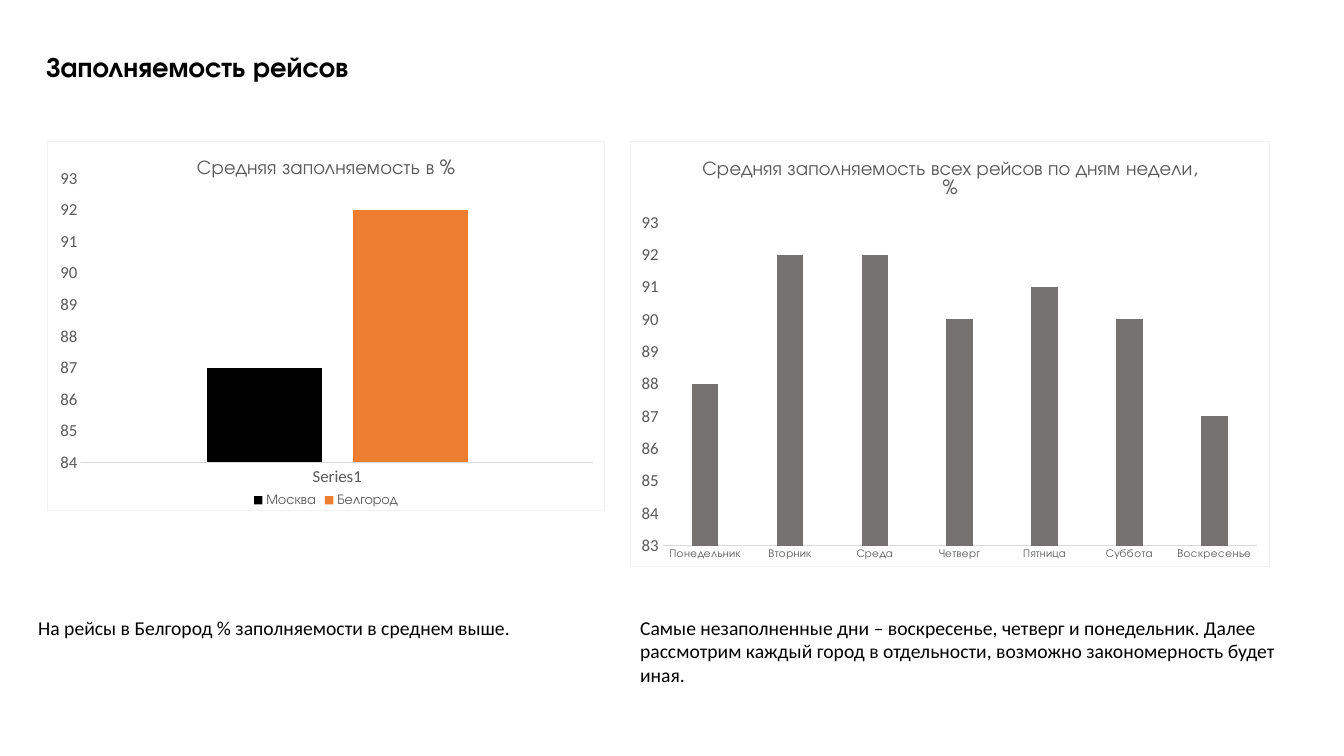
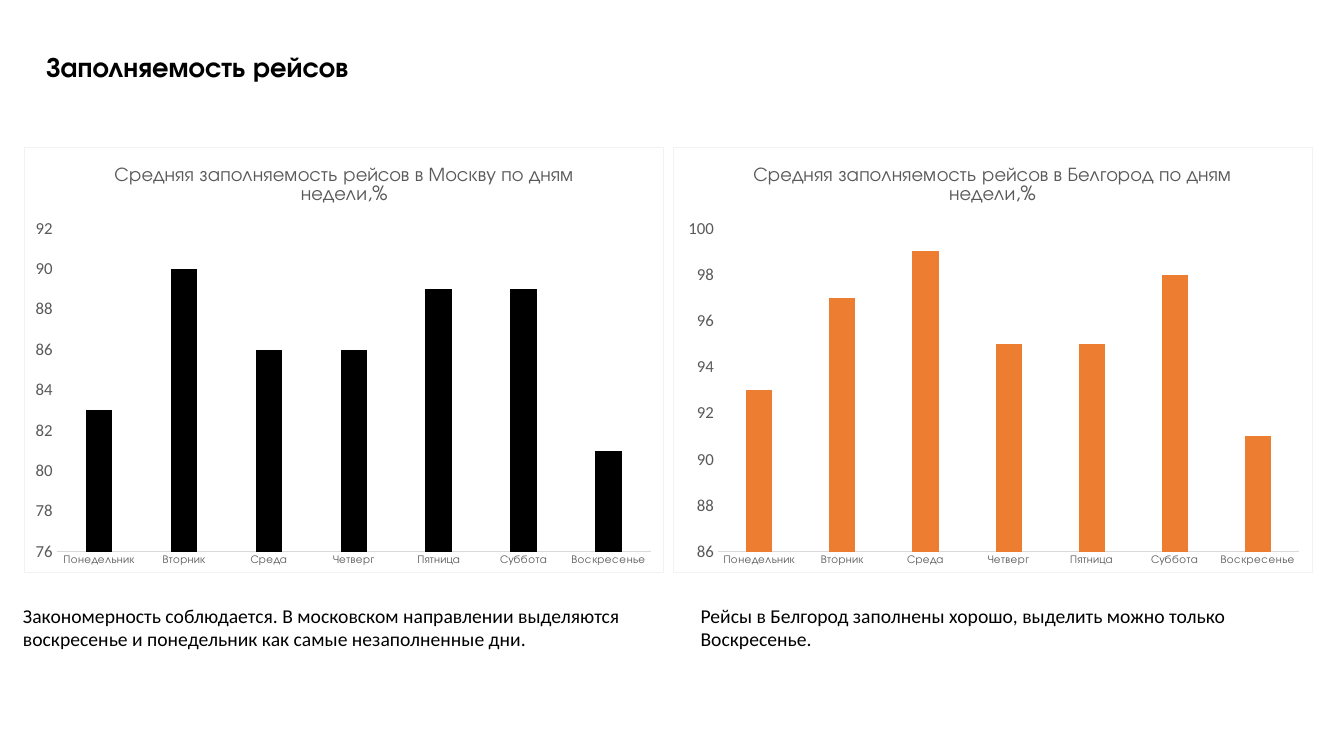
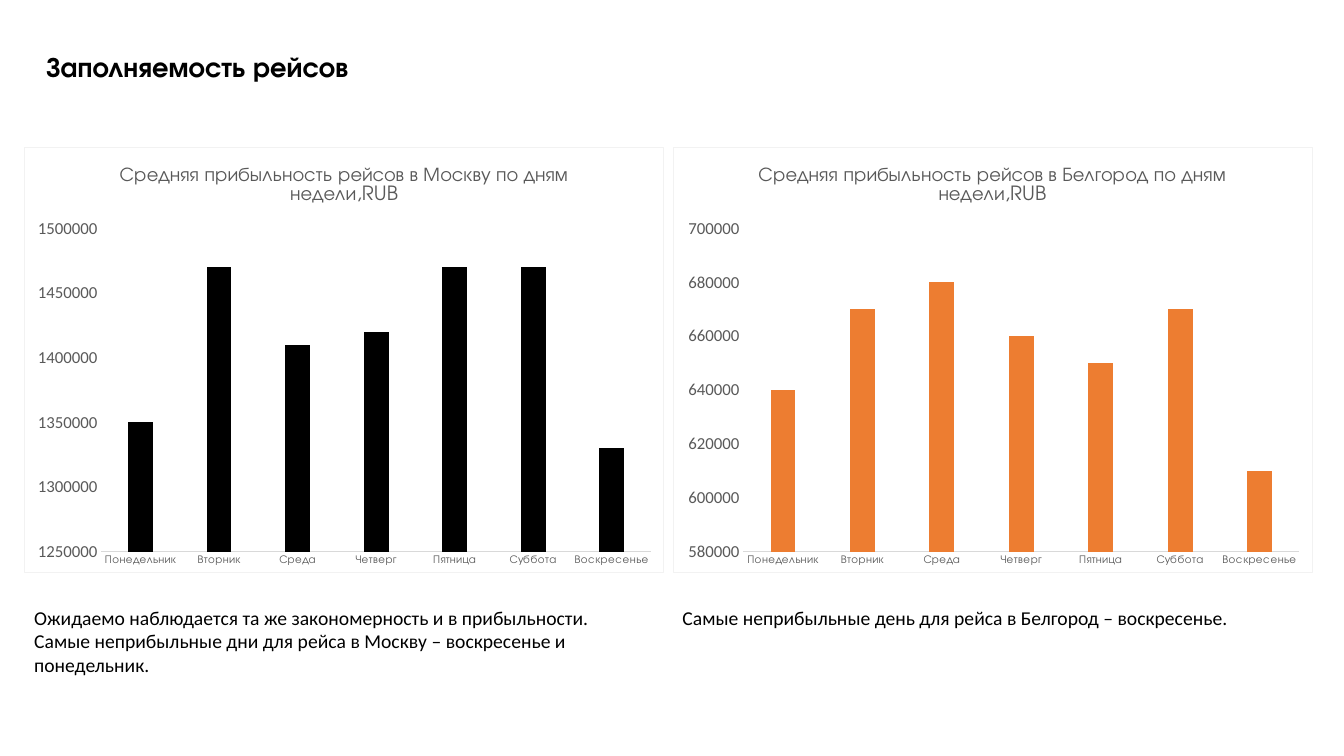
from dataclasses import dataclass

from pptx import Presentation
from pptx.chart.data import CategoryChartData
from pptx.dml.color import RGBColor
from pptx.enum.chart import XL_CHART_TYPE, XL_LEGEND_POSITION, XL_TICK_MARK
from pptx.enum.text import MSO_AUTO_SIZE
from pptx.oxml import parse_xml
from pptx.oxml.ns import nsdecls
from pptx.util import Inches, Pt

CLUSTERED = XL_CHART_TYPE.COLUMN_CLUSTERED
LEGEND_BOTTOM = XL_LEGEND_POSITION.BOTTOM
NO_TICK = XL_TICK_MARK.NONE
FIT_SHAPE = MSO_AUTO_SIZE.SHAPE_TO_FIT_TEXT


@dataclass(frozen=True)
class Theme:
    heading_font: str = "TeX Gyre Adventor"
    body_font: str = "Calibri"
    black: str = "000000"
    orange: str = "ED7D31"
    gray: str = "767171"
    chart_text: str = "595959"
    axis_line: str = "D9D9D9"
    border: str = "F2F2F2"
    title_size: int = 20
    body_size: int = 14
    chart_title_size: int = 14
    axis_size: int = 12
    legend_size: int = 10
    weekday_size: int = 8
    line_width: float = 0.75


THEME = Theme()
TITLE = "Заполняемость рейсов"
WEEKDAYS = ("Понедельник", "Вторник", "Среда", "Четверг", "Пятница", "Суббота", "Воскресенье")


@dataclass(frozen=True)
class Box:
    left: float
    top: float
    width: float
    height: float

    def lengths(self) -> tuple:
        return tuple(Inches(v) for v in (self.left, self.top, self.width, self.height))


@dataclass(frozen=True)
class Plot:
    """Inner plot area as fractions of the chart."""
    left: float
    top: float = 0.19
    bottom: float = 0.95
    right: float = 0.98


@dataclass(frozen=True)
class Series:
    name: str
    values: tuple[float, ...]
    color: str


@dataclass(frozen=True)
class ColumnChart:
    box: Box
    title: str
    series: tuple[Series, ...]
    scale: tuple[float, float, float]  # minimum, maximum, step
    plot: Plot
    categories: tuple[str, ...] = WEEKDAYS
    category_font: str = THEME.heading_font
    category_size: int = THEME.weekday_size
    legend: bool = False


@dataclass(frozen=True)
class Note:
    box: Box
    paragraphs: tuple[str, ...]


@dataclass(frozen=True)
class SlideContent:
    charts: tuple[ColumnChart, ...]
    notes: tuple[Note, ...]


TITLE_BOX = Box(0.36, 0.44, 3.52, 0.44)
LEFT_CHART = Box(0.24, 1.46, 6.35, 4.23)
RIGHT_CHART = Box(6.67, 1.46, 6.35, 4.23)


def weekday_series(color: str, *values: float) -> tuple[Series, ...]:
    return (Series("Series 1", values, color),)


SLIDES = (
    SlideContent(
        charts=(
            ColumnChart(
                Box(0.47, 1.4, 5.53, 3.67),
                "Средняя заполняемость в %",
                (Series("Москва", (87,), THEME.black), Series("Белгород", (92,), THEME.orange)),
                (84, 93, 1),
                Plot(0.06, top=0.1, bottom=0.87),
                categories=("Series1",),
                category_font=THEME.body_font,
                category_size=THEME.axis_size,
                legend=True,
            ),
            ColumnChart(
                Box(6.25, 1.4, 6.35, 4.23),
                "Средняя заполняемость всех рейсов по дням недели,%",
                weekday_series(THEME.gray, 88, 92, 92, 90, 91, 90, 87),
                (83, 93, 1),
                Plot(0.05),
            ),
        ),
        notes=(
            Note(Box(0.28, 6.06, 5.72, 0.34),
                 ("На рейсы в Белгород % заполняемости в среднем выше.",)),
            Note(Box(6.25, 6.06, 6.61, 0.81),
                 ("Самые незаполненные дни – воскресенье, четверг и понедельник. Далее рассмотрим "
                  "каждый город в отдельности, возможно закономерность будет иная.",)),
        ),
    ),
    SlideContent(
        charts=(
            ColumnChart(
                LEFT_CHART,
                "Средняя заполняемость рейсов в Москву по дням недели,%",
                weekday_series(THEME.black, 83, 90, 86, 86, 89, 89, 81),
                (76, 92, 2),
                Plot(0.05),
            ),
            ColumnChart(
                RIGHT_CHART,
                "Средняя заполняемость рейсов в Белгород по дням недели,%",
                weekday_series(THEME.orange, 93, 97, 99, 95, 95, 98, 91),
                (86, 100, 2),
                Plot(0.07),
            ),
        ),
        notes=(
            Note(Box(0.13, 5.94, 6.63, 0.57),
                 ("Закономерность соблюдается. В московском направлении выделяются воскресенье "
                  "и понедельник как самые незаполненные дни.",)),
            Note(Box(6.85, 5.94, 5.95, 0.57),
                 ("Рейсы в Белгород заполнены хорошо, выделить можно только Воскресенье.",)),
        ),
    ),
    SlideContent(
        charts=(
            ColumnChart(
                LEFT_CHART,
                "Средняя прибыльность рейсов в Москву по дням недели,RUB",
                weekday_series(THEME.black, 1350000, 1470000, 1410000, 1420000,
                               1470000, 1470000, 1330000),
                (1250000, 1500000, 50000),
                Plot(0.12),
            ),
            ColumnChart(
                RIGHT_CHART,
                "Средняя прибыльность рейсов в Белгород по дням недели,RUB",
                weekday_series(THEME.orange, 640000, 670000, 680000, 660000,
                               650000, 670000, 610000),
                (580000, 700000, 20000),
                Plot(0.11),
            ),
        ),
        notes=(
            Note(Box(0.24, 5.96, 5.95, 0.81),
                 ("Ожидаемо наблюдается та же закономерность и в прибыльности.",
                  "Самые неприбыльные дни для рейса в Москву – воскресенье и понедельник.")),
            Note(Box(6.67, 5.96, 5.95, 0.34),
                 ("Самые неприбыльные день для рейса в Белгород – воскресенье.",)),
        ),
    ),
)


def style_font(font, name: str, size: int, color: str, bold: bool = False) -> None:
    font.name = name
    font.size = Pt(size)
    font.bold = bold
    font.color.rgb = RGBColor.from_string(color)


def add_text(slide, box: Box, paragraphs: tuple[str, ...], font_name: str, size: int,
             bold: bool = False, wrap: bool = True) -> None:
    frame = slide.shapes.add_textbox(*box.lengths()).text_frame
    frame.word_wrap = wrap
    frame.auto_size = FIT_SHAPE
    for index, text in enumerate(paragraphs):
        paragraph = frame.add_paragraph() if index else frame.paragraphs[0]
        run = paragraph.add_run()
        run.text = text
        style_font(run.font, font_name, size, THEME.black, bold)


def set_border(chart) -> None:
    chart.element.chart.addnext(parse_xml(
        f'<c:spPr {nsdecls("c", "a")}><a:noFill/><a:ln w="{Pt(THEME.line_width)}">'
        f'<a:solidFill><a:srgbClr val="{THEME.border}"/></a:solidFill></a:ln></c:spPr>'))


def place_plot(chart, plot: Plot) -> None:
    """Fix the inner plot area so that axes keep their place."""
    area = chart.element.chart.plotArea
    for layout in area.xpath("c:layout"):
        area.remove(layout)
    places = {"x": plot.left, "y": plot.top,
              "w": plot.right - plot.left, "h": plot.bottom - plot.top}
    values = "".join(f'<c:{key} val="{value:.2f}"/>' for key, value in places.items())
    area.insert(0, parse_xml(
        f'<c:layout {nsdecls("c")}><c:manualLayout><c:layoutTarget val="inner"/>'
        f'<c:xMode val="edge"/><c:yMode val="edge"/>{values}</c:manualLayout></c:layout>'))


def style_axes(chart, content: ColumnChart) -> None:
    category_axis, value_axis = chart.category_axis, chart.value_axis
    for axis in (category_axis, value_axis):
        axis.major_tick_mark = axis.minor_tick_mark = NO_TICK
        axis.has_major_gridlines = False
    style_font(category_axis.tick_labels.font, content.category_font,
               content.category_size, THEME.chart_text)
    style_font(value_axis.tick_labels.font, THEME.body_font, THEME.axis_size, THEME.chart_text)
    line = category_axis.format.line
    line.color.rgb = RGBColor.from_string(THEME.axis_line)
    line.width = Pt(THEME.line_width)
    value_axis.format.line.fill.background()
    value_axis.minimum_scale, value_axis.maximum_scale, value_axis.major_unit = content.scale


def add_column_chart(slide, content: ColumnChart) -> None:
    data = CategoryChartData()
    data.categories = content.categories
    for series in content.series:
        data.add_series(series.name, series.values)
    chart = slide.shapes.add_chart(CLUSTERED, *content.box.lengths(), data).chart
    style_font(chart.font, THEME.body_font, THEME.legend_size, THEME.black)

    chart.has_title = True
    run = chart.chart_title.text_frame.paragraphs[0].add_run()
    run.text = content.title
    style_font(run.font, THEME.heading_font, THEME.chart_title_size, THEME.chart_text)

    chart.has_legend = content.legend
    if content.legend:
        chart.legend.position = LEGEND_BOTTOM
        chart.legend.include_in_layout = False
        style_font(chart.legend.font, THEME.heading_font, THEME.legend_size, THEME.chart_text)

    columns = chart.plots[0]
    columns.gap_width = 219
    columns.overlap = -27
    columns.vary_by_categories = False
    for series, drawn in zip(content.series, columns.series):
        drawn.format.fill.solid()
        drawn.format.fill.fore_color.rgb = RGBColor.from_string(series.color)

    style_axes(chart, content)
    place_plot(chart, content.plot)
    set_border(chart)


def add_slide(presentation, content: SlideContent) -> None:
    slide = presentation.slides.add_slide(presentation.slide_layouts[6])
    add_text(slide, TITLE_BOX, (TITLE,), THEME.heading_font, THEME.title_size,
             bold=True, wrap=False)
    for chart in content.charts:
        add_column_chart(slide, chart)
    for note in content.notes:
        add_text(slide, note.box, note.paragraphs, THEME.body_font, THEME.body_size)


def main() -> None:
    presentation = Presentation()
    presentation.slide_width = Inches(13.33)
    presentation.slide_height = Inches(7.5)
    for content in SLIDES:
        add_slide(presentation, content)
    presentation.save("out.pptx")


if __name__ == "__main__":
    main()
